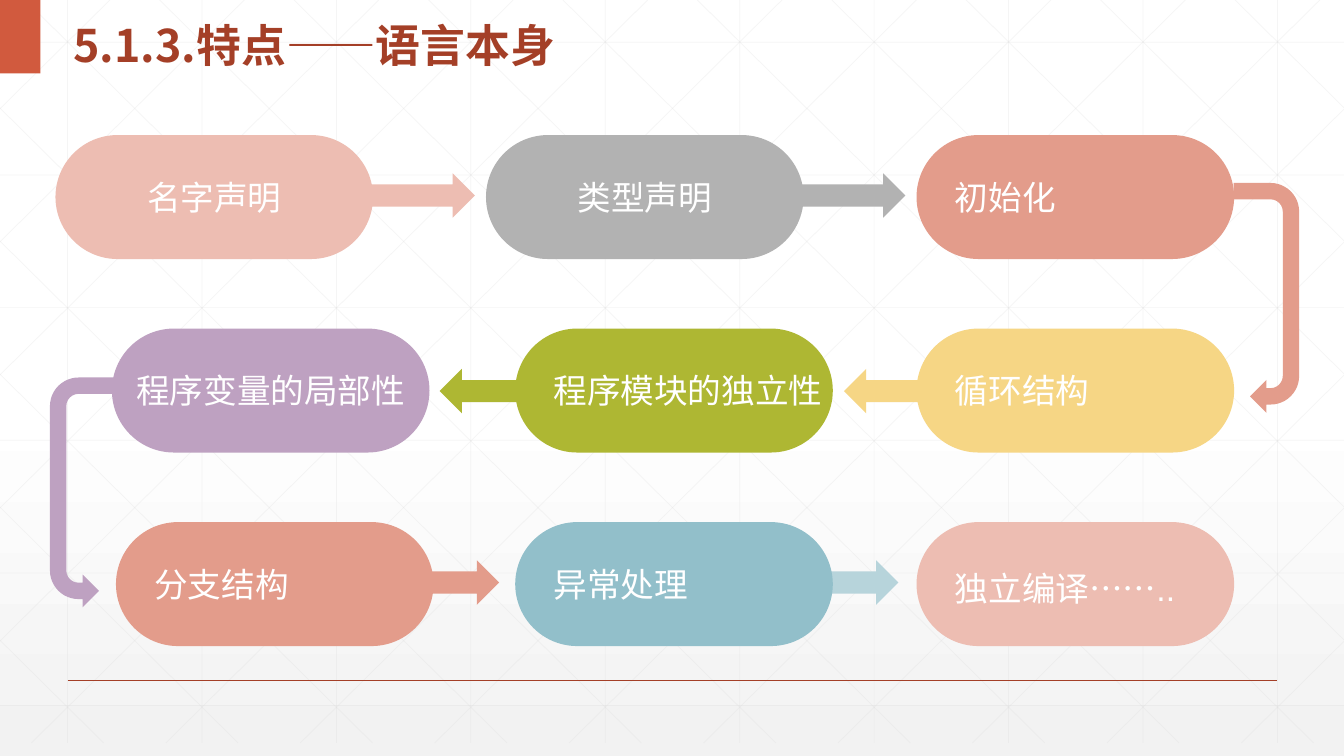
from lxml.etree import SubElement
from pptx import Presentation
from pptx.dml.color import RGBColor
from pptx.enum.shapes import MSO_CONNECTOR, MSO_SHAPE as Preset
from pptx.enum.text import MSO_ANCHOR, PP_ALIGN
from pptx.oxml.ns import qn
from pptx.util import Inches, Pt

WHITE = RGBColor(0xFF, 0xFF, 0xFF)
PALE_GREY = RGBColor(0xF2, 0xF2, 0xF2)
GRID_GREY = RGBColor(0xD9, 0xD9, 0xD9)
RUST = RGBColor(0xA4, 0x3F, 0x27)
ORANGE = RGBColor(0xD1, 0x5A, 0x3E)
PINK = RGBColor(0xED, 0xBD, 0xB2)
GREY = RGBColor(0xB2, 0xB2, 0xB2)
CORAL = RGBColor(0xE3, 0x9C, 0x8B)
YELLOW = RGBColor(0xF6, 0xD6, 0x85)
GREEN = RGBColor(0xAE, 0xB7, 0x33)
PURPLE = RGBColor(0xBE, 0xA1, 0xC1)
BLUE = RGBColor(0x92, 0xBF, 0xCA)
PALE_BLUE = RGBColor(0xB7, 0xD4, 0xDB)

LATIN_FONT, CJK_FONT = "Arial", "Noto Sans CJK SC"
PAGE_WIDTH, PAGE_HEIGHT = 13.33, 7.5
GRID_BOTTOM, GRID_STEP, GRID_SLOPE = 7.37, 4 / 3, 0.99
ROW_TOPS = (1.34, 3.26, 5.18)

STEPS = (
    ("名字声明", 0.55, 0, PINK, PP_ALIGN.CENTER),
    ("类型声明", 4.82, 0, GREY, PP_ALIGN.CENTER),
    ("初始化", 9.09, 0, CORAL, PP_ALIGN.LEFT),
    ("循环结构", 9.09, 1, YELLOW, PP_ALIGN.LEFT),
    ("程序模块的独立性", 5.11, 1, GREEN, PP_ALIGN.LEFT),
    ("程序变量的局部性", 1.11, 1, PURPLE, PP_ALIGN.CENTER),
    ("分支结构", 1.15, 2, CORAL, PP_ALIGN.LEFT),
    ("异常处理", 5.11, 2, BLUE, PP_ALIGN.LEFT),
    ("独立编译……..", 9.09, 2, PINK, PP_ALIGN.LEFT),
)
ARROWS = (
    (3.44, 1.72, 1.27, 0, PINK),
    (7.88, 1.72, 1.1, 0, GREY),
    (8.37, 3.66, 0.78, 180, YELLOW),
    (4.36, 3.66, 0.78, 180, GREEN),
    (4.13, 5.56, 0.82, 0, CORAL),
    (8.09, 5.56, 0.82, 0, PALE_BLUE),
)


def paint_background(page):
    """Fill the page with a vertical fade from white to pale grey."""
    fill = page.background.fill
    fill.gradient()
    fill.gradient_angle = 270
    for stop, position, color in zip(fill.gradient_stops, (0.53, 1), (WHITE, PALE_GREY)):
        stop.position = position
        stop.color.rgb = color


def add_line(shapes, start, end, color, width, opacity=100):
    """Draw a straight line without shadow between two points in inches."""
    points = [Inches(value) for value in (*start, *end)]
    line = shapes.add_connector(MSO_CONNECTOR.STRAIGHT, *points)
    line.line.color.rgb = color
    line.line.width = Pt(width)
    properties = line._element.spPr
    if opacity < 100:
        tint = properties.find(".//" + qn("a:srgbClr"))
        SubElement(tint, qn("a:alpha")).set("val", str(opacity * 1000))
    SubElement(properties, qn("a:effectLst"))


def add_diagonal(shapes, top_x, direction):
    """Draw one diagonal grid line, cut off at the page edges."""
    run = direction * GRID_BOTTOM / GRID_SLOPE
    ends = [min(max(x, 0), PAGE_WIDTH) for x in (top_x, top_x + run)]
    start, end = [(x, (x - top_x) * direction * GRID_SLOPE) for x in ends]
    add_line(shapes, start, end, GRID_GREY, 0.5, 25)


def add_grid(page):
    """Draw the faint lattice of upright, level and diagonal lines."""
    shapes = page.shapes.add_group_shape().shapes
    for column in range(10):
        x = 0.67 + column * GRID_STEP
        add_line(shapes, (x, 0), (x, GRID_BOTTOM), GRID_GREY, 0.5, 25)
    for row in range(6):
        y = 0.42 + row * 1.316
        add_line(shapes, (0, y), (PAGE_WIDTH, y), GRID_GREY, 0.5, 25)
    for index in range(15):
        add_diagonal(shapes, 0.25 + (index - 5) * GRID_STEP, 1)
        add_diagonal(shapes, 1.09 + index * GRID_STEP, -1)


def add_block(shapes, preset, left, top, width, height, color, rotation=0):
    """Add a flat preset shape in one colour."""
    block = shapes.add_shape(preset, *map(Inches, (left, top, width, height)))
    block.shadow.inherit = False
    block.fill.solid()
    block.fill.fore_color.rgb = color
    block.line.fill.background()
    block.rotation = rotation
    return block


def set_font(font, name, size, color, bold=False):
    """Set a font together with its East Asian typeface."""
    font.name, font.size, font.bold = name, Pt(size), bold
    font.color.rgb = color
    SubElement(font._element, qn("a:ea")).set("typeface", CJK_FONT)


def add_title(page):
    """Add the heading with its number and wording."""
    box = page.shapes.add_textbox(*map(Inches, (0.63, 0, 9.05, 0.73)))
    frame = box.text_frame
    frame.word_wrap = True
    frame.vertical_anchor = MSO_ANCHOR.MIDDLE
    para = frame.paragraphs[0]
    para.line_spacing = 1.3
    for text, name in (("5.1.3.", CJK_FONT), ("特点——语言本身", LATIN_FONT)):
        span = para.add_run()
        span.text = text
        set_font(span.font, name, 32, RUST, True)


def add_step(shapes, text, left, row, color, alignment):
    """Add one labelled pill of the flow."""
    pill = add_block(shapes, Preset.ROUNDED_RECTANGLE, left, ROW_TOPS[row], 3.15, 1.23, color)
    pill.adjustments[0] = 0.5
    frame = pill.text_frame
    frame.word_wrap = False
    frame.vertical_anchor = MSO_ANCHOR.MIDDLE
    frame.margin_left = frame.margin_right = Inches(0.2)
    frame.margin_top = frame.margin_bottom = Inches(0.1)
    para = frame.paragraphs[0]
    para.text = text
    para.alignment = alignment
    set_font(para.font, LATIN_FONT, 24, WHITE)
    return para


def add_flow(page):
    """Add the winding chain of pills and arrows."""
    shapes = page.shapes.add_group_shape().shapes
    for left, top, width, rotation, color in ARROWS:
        add_block(shapes, Preset.RIGHT_ARROW, left, top, width, 0.44, color, rotation)
    add_block(shapes, Preset.U_TURN_ARROW, 11.42, 2.63, 2.28, 0.65, CORAL, 90)
    left_turn = add_block(shapes, Preset.U_TURN_ARROW, -0.32, 4.56, 2.28, 0.65, PURPLE, 270)
    left_turn._element.spPr.xfrm.set("flipH", "1")
    paras = [add_step(shapes, *step) for step in STEPS]
    paras[-1].line_spacing = 1.2


def main():
    """Build the slide and save it."""
    deck = Presentation()
    deck.slide_width, deck.slide_height = Inches(PAGE_WIDTH), Inches(PAGE_HEIGHT)
    page = deck.slides.add_slide(deck.slide_layouts[6])
    paint_background(page)
    add_grid(page)
    add_line(page.shapes, (0.67, 6.75), (12.67, 6.75), RUST, 1)
    add_block(page.shapes, Preset.RECTANGLE, 0, 0, 0.4, 0.73, ORANGE)
    add_title(page)
    add_flow(page)
    deck.save("out.pptx")


if __name__ == "__main__":
    main()
